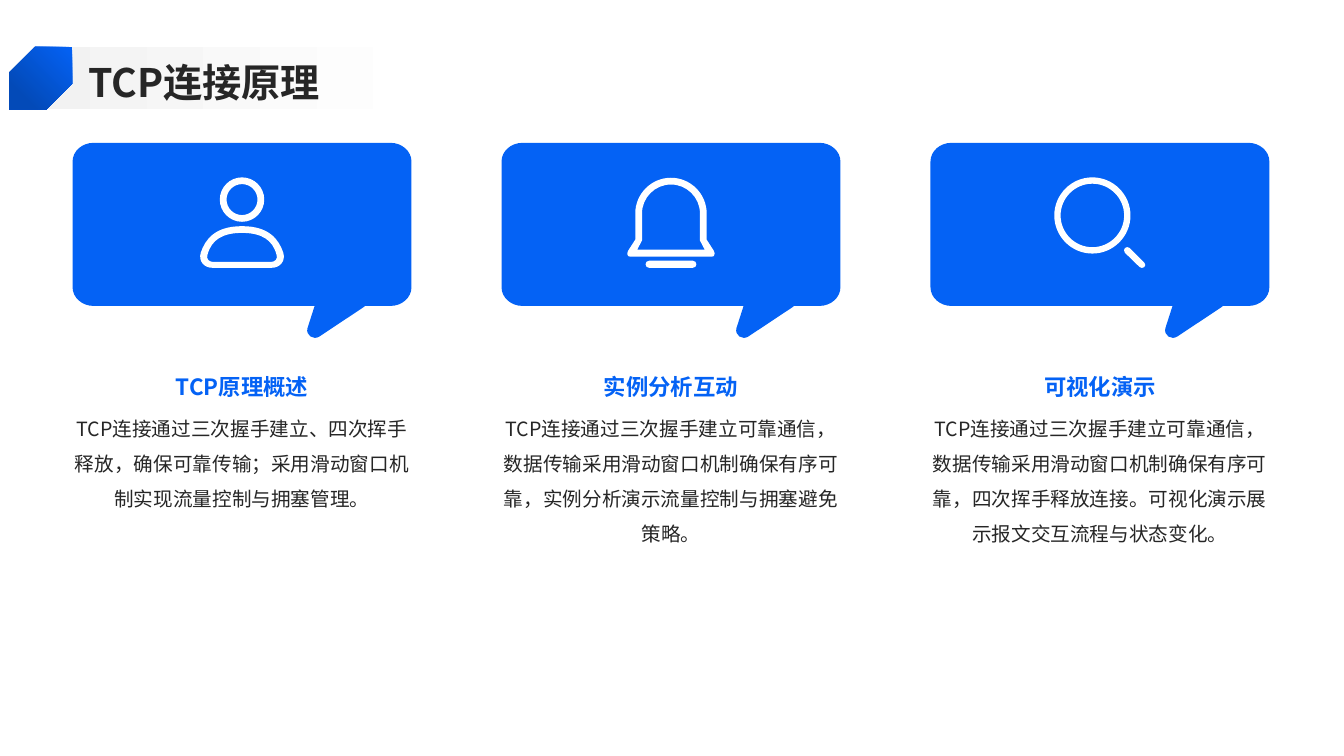
import dataclasses

import pptx
import pptx.dml.color
import pptx.enum.shapes
import pptx.enum.text
import pptx.oxml
import pptx.oxml.ns
import pptx.util

Cm = pptx.util.Cm
Shape = pptx.enum.shapes.MSO_SHAPE
Align = pptx.enum.text.PP_ALIGN
Anchor = pptx.enum.text.MSO_ANCHOR
Point = tuple[float, float]
Step = tuple[Point, ...]
Path = list[Step]


@dataclasses.dataclass(frozen=True)
class Theme:
    font: str = "Noto Sans CJK SC"
    blue: str = "0462F5"
    navy: str = "034AB8"
    white: str = "FFFFFF"
    pale: str = "F2F2F2"
    ink: str = "262626"
    title: int = 28
    head: int = 16
    body: int = 14


@dataclasses.dataclass(frozen=True)
class Style:
    size: int
    color: str
    bold: bool
    space: float
    align: Align
    anchor: Anchor


@dataclasses.dataclass(frozen=True)
class Card:
    head: str
    body: str
    icon: list[Path]


THEME = Theme()
TITLE = Style(THEME.title, THEME.ink, True, 1.1, Align.LEFT, Anchor.MIDDLE)
HEAD = Style(THEME.head, THEME.blue, True, 1.3, Align.CENTER, Anchor.BOTTOM)
BODY = Style(THEME.body, THEME.ink, False, 1.5, Align.CENTER, Anchor.TOP)
LEFT, TOP, WIDTH, PITCH = 1.83, 3.6, 8.54, 10.81


def bend(start: Point, corner: Point, end: Point) -> Step:
    pull = [tuple(p + 0.55 * (c - p) for p, c in zip(side, corner))
            for side in (start, end)]
    return pull[0], pull[1], end


def ring(x: float, y: float, r: float) -> Path:
    top, right, base, left = (x, y - r), (x + r, y), (x, y + r), (x - r, y)
    return [(top,),
            bend(top, (x + r, y - r), right), bend(right, (x + r, y + r), base),
            bend(base, (x - r, y + r), left), bend(left, (x - r, y - r), top)]


def mirror(half: Path) -> Path:
    back = [half[-1][-1:]]
    for prior, step in reversed(list(zip(half, half[1:]))):
        back.append((*reversed(step[:-1]), prior[-1]))
    return half + [tuple((-x, y) for x, y in step) for step in back]


BUBBLE = [[
    ((0, 0.47),), bend((0, 0.47), (0, 0), (0.53, 0)),
    ((8.01, 0),), bend((8.01, 0), (8.54, 0), (8.54, 0.47)),
    ((8.54, 3.64),), bend((8.54, 3.64), (8.54, 4.11), (8.01, 4.11)),
    ((7.37, 4.11),), ((7.32, 4.15),), ((6.22, 4.88),),
    ((6.07, 4.98), (5.87, 4.85), (5.92, 4.67)), ((6.1, 4.11),),
    ((0.53, 4.11),), bend((0.53, 4.11), (0, 4.11), (0, 3.64)),
]]
PERSON = [
    ring(0, 1.43, 0.56),
    ring(0, 1.43, 0.39),
    mirror([((0, 2.1),), ((0.69, 2.1), (0.93, 2.44), (1.04, 2.77)),
            ((1.1, 2.97), (0.97, 3.15), (0.74, 3.15))]),
    mirror([((0, 2.27),), ((0.49, 2.27), (0.77, 2.44), (0.87, 2.82)),
            ((0.91, 2.92), (0.83, 3), (0.74, 3))]),
]
BELL = [
    mirror([((0, 0.88),), bend((0, 0.88), (0.9, 0.88), (0.9, 1.78)),
            ((0.9, 2.44),), ((1.08, 2.72),),
            ((1.12, 2.8), (1.1, 2.87), (1.02, 2.87))]),
    mirror([((0, 1.05),), bend((0, 1.05), (0.73, 1.05), (0.73, 1.78)),
            ((0.73, 2.46),), ((0.85, 2.69),)]),
    mirror([((0.55, 2.97),), ((0.67, 2.97), (0.67, 3.15), (0.55, 3.15))]),
]
SEARCH = [
    ring(-0.19, 1.83, 0.96),
    ring(-0.19, 1.83, 0.8),
    [((0.63, 2.77),), ((0.6, 2.73), (0.6, 2.68), (0.63, 2.65)),
     ((0.66, 2.62), (0.72, 2.62), (0.75, 2.65)), ((1.12, 3.02),),
     ((1.15, 3.06), (1.15, 3.1), (1.12, 3.13)),
     ((1.09, 3.16), (1.03, 3.16), (1, 3.13))],
]

CARDS = [
    Card("TCP原理概述",
         "TCP连接通过三次握手建立、四次挥手释放，确保可靠传输；采用滑动窗口机制实现流量控制与拥塞管理。",
         PERSON),
    Card("实例分析互动",
         "TCP连接通过三次握手建立可靠通信，数据传输采用滑动窗口机制确保有序可靠，实例分析演示流量控制与拥塞避免策略。",
         BELL),
    Card("可视化演示",
         "TCP连接通过三次握手建立可靠通信，数据传输采用滑动窗口机制确保有序可靠，四次挥手释放连接。可视化演示展示报文交互流程与状态变化。",
         SEARCH),
]


def paint(color: str) -> pptx.dml.color.RGBColor:
    return pptx.dml.color.RGBColor.from_string(color)


def write(shape, text: str, style: Style) -> None:
    frame = shape.text_frame
    frame.text = text
    frame.word_wrap = True
    frame.auto_size = pptx.enum.text.MSO_AUTO_SIZE.NONE
    frame.vertical_anchor = style.anchor
    frame.margin_left = frame.margin_right = frame.margin_top = frame.margin_bottom = 0
    line = frame.paragraphs[0]
    line.alignment = style.align
    line.line_spacing = style.space
    line.space_before = pptx.util.Pt(0)
    run = line.runs[0]
    run.font.size = pptx.util.Pt(style.size)
    run.font.bold = style.bold
    run.font.color.rgb = paint(style.color)
    run.font.name = THEME.font
    east = pptx.oxml.parse_xml(
        f'<a:ea {pptx.oxml.ns.nsdecls("a")} typeface="{THEME.font}"/>')
    run._r.get_or_add_rPr().find(pptx.oxml.ns.qn("a:latin")).addnext(east)


def label(slide, x: float, y: float, h: float, text: str, style: Style) -> None:
    box = slide.shapes.add_textbox(Cm(x), Cm(y), Cm(WIDTH), Cm(h))
    write(box, text, style)


def smooth(shape, paths: list[Path]) -> None:
    lines = iter(shape._element.findall(".//" + pptx.oxml.ns.qn("a:lnTo")))
    for step in (step for path in paths for step in path[1:]):
        first, *rest = [next(lines) for _ in step]
        if rest:
            first.tag = pptx.oxml.ns.qn("a:cubicBezTo")
        for line in rest:
            first.append(line[0])
            line.getparent().remove(line)


def outline(slide, paths: list[Path], x: float, y: float, color: str) -> None:
    build = None
    for path in paths:
        first, *rest = [(Cm(a), Cm(b)) for step in path for a, b in step]
        if build is None:
            build = slide.shapes.build_freeform(*first)
        else:
            build.move_to(*first)
        build.add_line_segments(rest, close=True)
    shape = build.convert_to_shape(Cm(x), Cm(y))
    smooth(shape, paths)
    shape.shadow.inherit = False
    shape.fill.solid()
    shape.fill.fore_color.rgb = paint(color)
    shape.line.fill.background()


def blend(slide, kind: Shape, x: float, w: float, colors: tuple[str, str], angle: float):
    shape = slide.shapes.add_shape(kind, Cm(x), Cm(1.18), Cm(w), Cm(1.58))
    shape.shadow.inherit = False
    shape.line.fill.background()
    shape.fill.gradient()
    shape.fill.gradient_angle = angle
    for stop, color, spot in zip(shape.fill.gradient_stops, colors, (0, 0.8)):
        stop.color.rgb = paint(color)
        stop.position = spot
    return shape


def banner(slide) -> None:
    blend(slide, Shape.RECTANGLE, 0.84, 12.5, (THEME.pale, THEME.white), 0)
    title = slide.shapes.title
    title.left, title.top, title.width, title.height = Cm(2.23), Cm(1.36), Cm(30.18), Cm(1.3)
    write(title, "TCP连接原理", TITLE)
    slide.shapes._spTree.append(title._element)
    badge = blend(slide, Shape.SNIP_2_DIAG_RECTANGLE, 0.24, 1.58,
                  (THEME.blue, THEME.navy), 315)
    badge.adjustments[0] = 0
    badge.adjustments[1] = 0.41
    badge._element.spPr.xfrm.set("flipH", "1")


def main() -> None:
    deck = pptx.Presentation()
    deck.slide_width, deck.slide_height = Cm(33.87), Cm(19.05)
    slide = deck.slides.add_slide(deck.slide_layouts[5])
    for i, card in enumerate(CARDS):
        x = LEFT + i * PITCH
        outline(slide, BUBBLE, x, TOP, THEME.blue)
        outline(slide, card.icon, x + WIDTH / 2, TOP, THEME.white)
        label(slide, x, 10.2, 6.99, card.body, BODY)
        label(slide, x, 8.86, 1.22, card.head, HEAD)
    banner(slide)
    deck.save("out.pptx")


if __name__ == "__main__":
    main()
